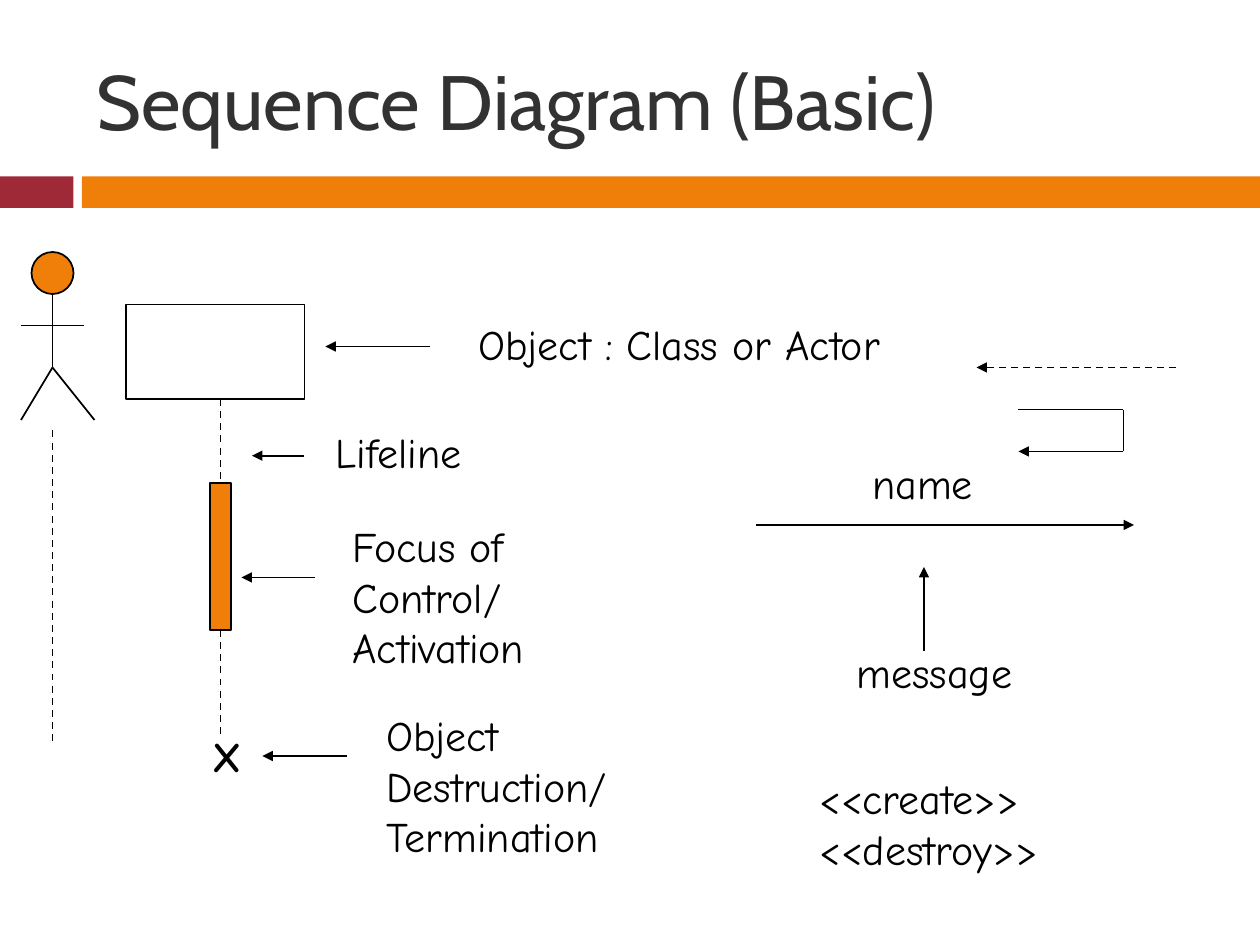
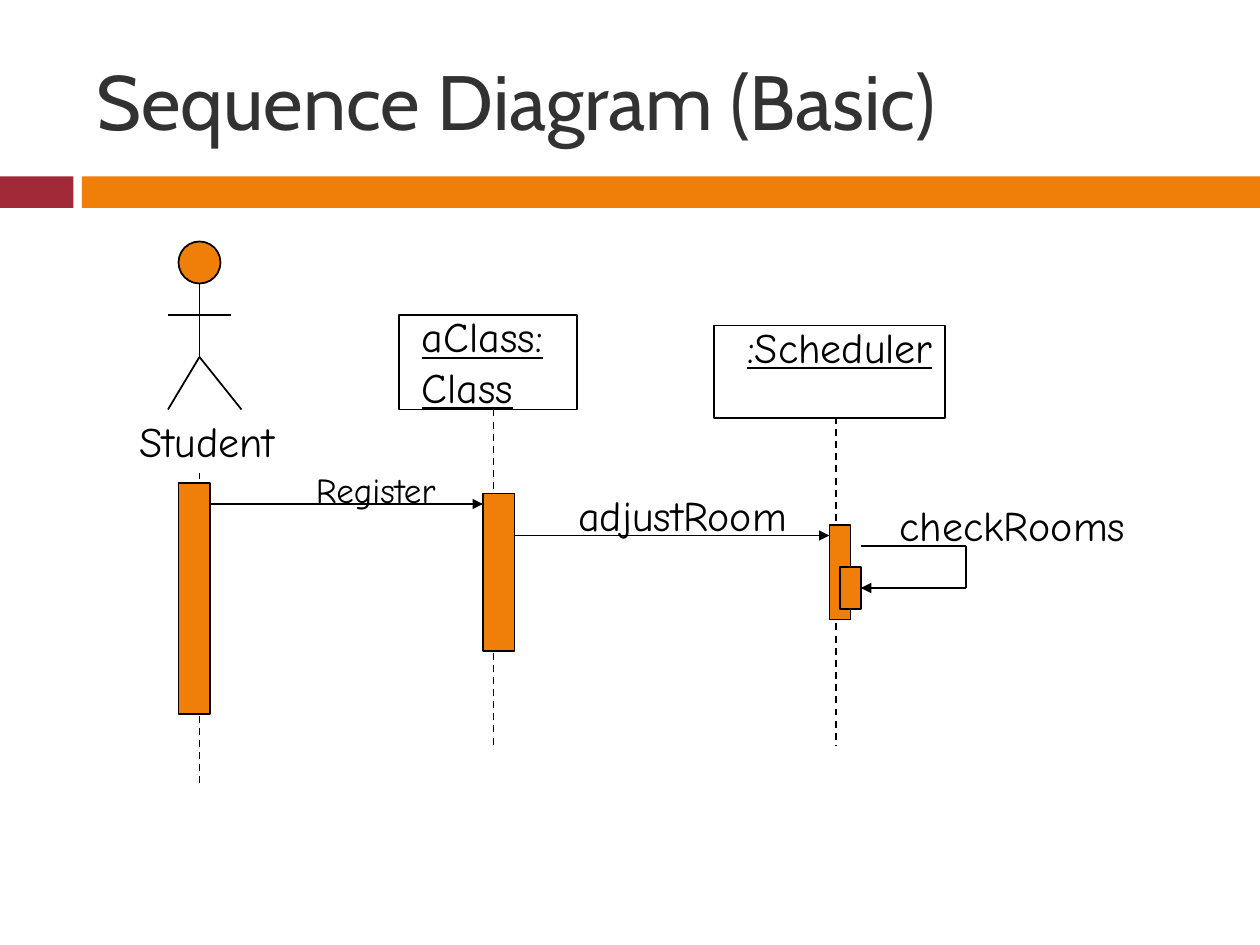
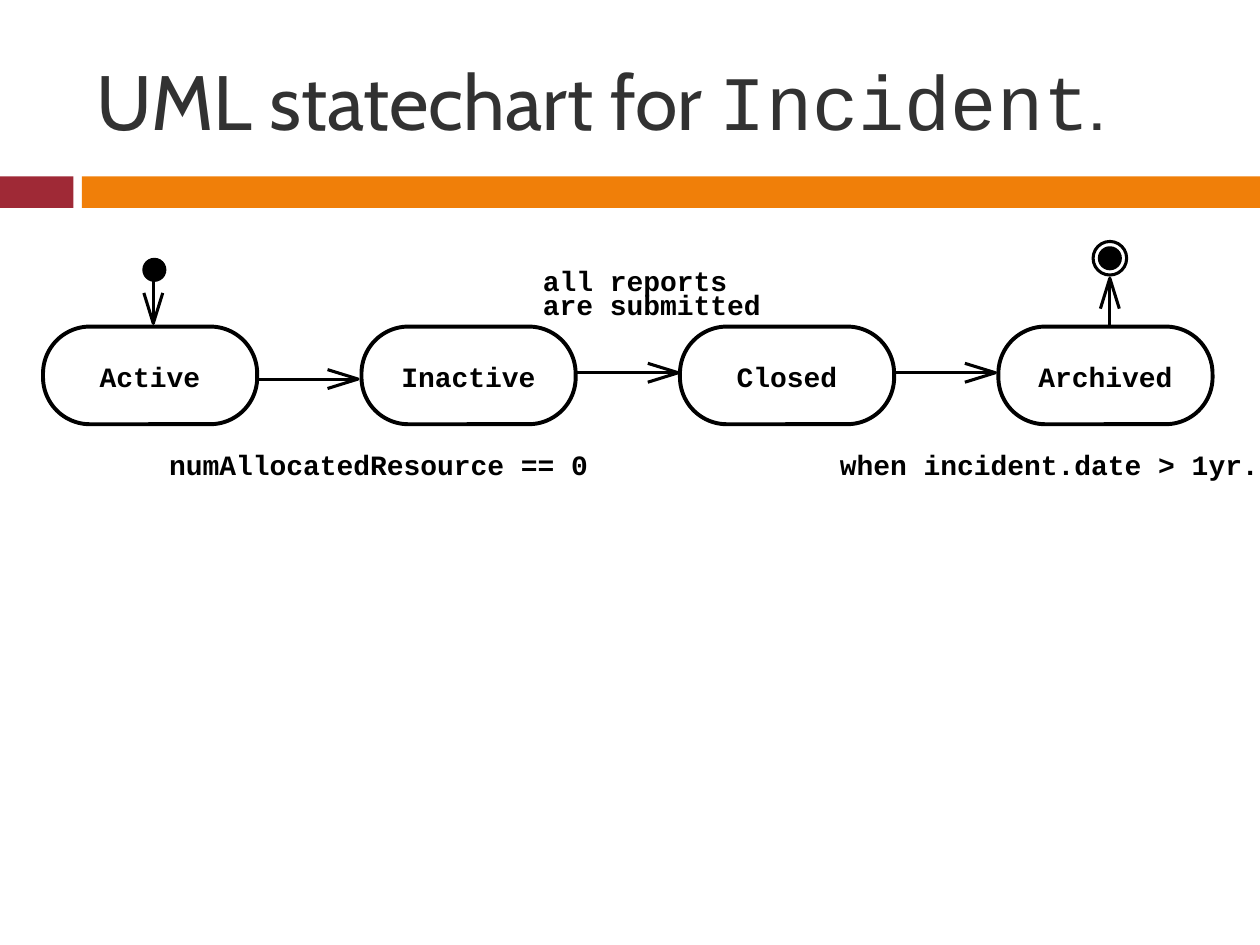
"""Build three UML slides on a grid of 120 columns by 90 rows."""
from lxml import etree
from pptx import Presentation
from pptx.dml.color import RGBColor
from pptx.enum.dml import MSO_LINE
from pptx.enum.shapes import MSO_CONNECTOR, MSO_SHAPE
from pptx.enum.text import MSO_ANCHOR, MSO_AUTO_SIZE
from pptx.oxml.ns import qn
from pptx.util import Inches, Pt

RECT, OVAL, PILL = MSO_SHAPE.RECTANGLE, MSO_SHAPE.OVAL, MSO_SHAPE.ROUNDED_RECTANGLE
STRAIGHT, DASH = MSO_CONNECTOR.STRAIGHT, MSO_LINE.DASH
MIDDLE, GROW = MSO_ANCHOR.MIDDLE, MSO_AUTO_SIZE.SHAPE_TO_FIT_TEXT
BLACK, WHITE, GREY, ORANGE, RED = "000000", "FFFFFF", "323232", "F07F09", "9F2936"
SANS, HAND, MONO = "Cabin", "Comic Neue", "Courier New"
CELL = Inches(1) / 12


def hue(code):
    return RGBColor.from_string(code)


def grid(*cells):
    return [round(cell * CELL) for cell in cells]


basic = [("Sequence Diagram (Basic)", SANS)]

parts = {
    "title": basic, "font": HAND, "pad": (1.2, 0.6), "weight": 1,
    "actors": [(5, 24)], "loops": [(97, 39)],
    "lines": [
        (41, 33, 31, 33, "->"), (21, 38, 21, 70, "--"), (72, 50, 108, 50, "->"),
        (29, 43.4, 24, 43.4, "->"), (88, 62, 88, 54, "->"), (5, 41, 5, 71, "--"),
        (33, 72, 25, 72, "->"), (30, 55, 23, 55, "->"), (112, 35, 93, 35, "-->"),
    ],
    "shapes": [(12, 29, 17, 9, RECT, None), (20, 46, 2, 14, RECT, ORANGE)],
    "notes": [
        (44.4, 29.7, 40.7, "Object : Class or Actor", 24, ""),
        (30.8, 40, 14.6, "Lifeline", 24, ""),
        (32.4, 49, 19, "Focus of\nControl/\nActivation", 24, ""),
        (35.6, 67, 23.6, "Object\nDestruction/\nTermination", 24, ""),
        (19.1, 69, 5.2, "X", 24, "bold"),
        (80.4, 61, 17.4, "message", 24, ""),
        (81.9, 43, 12.2, "name", 24, ""),
        (76.9, 73, 23.4, "<<create>>\n<<destroy>>", 24, ""),
    ],
}

rooms = {
    "title": basic, "font": HAND, "pad": (1.2, 0.6), "weight": 1,
    "actors": [(19, 23)], "loops": [(82, 52)],
    "lines": [
        (19, 45, 19, 75, "--"), (47, 39, 47, 71, "--"), (79.6, 39.7, 79.6, 71, "--"),
        (20, 48, 46, 48, "->"), (49, 51, 79, 51, "->"),
    ],
    "shapes": [
        (38, 30, 17, 9, RECT, None), (68, 31, 22, 8.8, RECT, None),
        (17, 46, 3, 22, RECT, ORANGE), (46, 47, 3, 15, RECT, ORANGE),
        (79, 50, 2, 9, RECT, ORANGE), (80, 54, 2, 4, RECT, ORANGE),
    ],
    "notes": [
        (12.1, 39, 16, "Student", 24, ""),
        (39, 29, 15.1, "aClass:\nClass", 24, "line"),
        (28.9, 44, 14.1, "Register", 20, ""),
        (70, 30, 20.2, ":Scheduler", 24, "line"),
        (53.9, 46, 22.5, "adjustRoom", 24, ""),
        (84.5, 47, 24.1, "checkRooms", 24, ""),
    ],
}

chart = {
    "title": [("UML statechart for ", SANS), ("Incident", MONO), (".", SANS)],
    "font": MONO, "pad": (0, 0), "weight": 1.75, "actors": [], "loops": [],
    "lines": [
        (24.5, 36.1, 34.1, 36.1, "=>"), (55, 35.5, 64.6, 35.5, "=>"),
        (85.2, 35.5, 94.8, 35.5, "=>"), (14.6, 25.9, 14.6, 30.8, "=>"),
        (105.7, 31.4, 105.7, 26.5, "=>"),
    ],
    "shapes": [
        (13.7, 24.7, 2, 2, OVAL, BLACK), (104.7, 23.6, 2, 2, OVAL, BLACK),
        (104.1, 23, 3.2, 3.2, OVAL, None),
    ],
    "notes": [
        (16.1, 42.6, 40, "numAllocatedResource == 0", 16, "bold"),
        (51.7, 25.1, 17.6, "all reports", 16, "bold"),
        (51.7, 27.4, 20.8, "are submitted", 16, "bold"),
        (80, 42.6, 40, "when incident.date > 1yr.", 16, "bold"),
    ],
}
for col, state in enumerate(["Active", "Inactive", "Closed", "Archived"]):
    left, wide = 4.1 + 30.33 * col, 1.6 * len(state)
    chart["shapes"].append((left, 31.1, 20.4, 9.3, PILL, WHITE))
    chart["notes"].append((left + (20.4 - wide) / 2, 34.2, wide, state, 16, "bold"))

deck = Presentation()
deck.slide_width, deck.slide_height = grid(120, 90)

for page in (parts, rooms, chart):
    slide = deck.slides.add_slide(deck.slide_layouts[6])
    draw = slide.shapes

    for x, wide, fill in ((0, 7, RED), (7.8, 112.2, ORANGE)):
        band = draw.add_shape(RECT, *grid(x, 16.8, wide, 3))
        band.shadow.inherit = False
        band.fill.solid()
        band.fill.fore_color.rgb = hue(fill)
        band.line.fill.background()

    frame = draw.add_textbox(*grid(8, 3, 107, 13)).text_frame
    frame.word_wrap = True
    frame.vertical_anchor = MIDDLE
    para = frame.paragraphs[0]
    para.font.size = Pt(44)
    para.font.color.rgb = hue(GREY)
    for words, face in page["title"]:
        run = para.add_run()
        run.text = words
        run.font.name = face

    lines, shapes = list(page["lines"]), list(page["shapes"])
    for x, y in page["actors"]:
        shapes.append((x - 2, y, 4, 4, OVAL, ORANGE))
        lines += [
            (x, y + 4, x, y + 11, "-"), (x - 3, y + 7, x + 3, y + 7, "-"),
            (x, y + 11, x - 3, y + 16, "-"), (x, y + 11, x + 4, y + 16, "-"),
        ]
    for x, y in page["loops"]:
        lines += [
            (x, y, x + 10, y, "-"), (x + 10, y, x + 10, y + 4, "-"),
            (x + 10, y + 4, x, y + 4, "->"),
        ]

    for x, y, end, foot, style in lines:
        link = draw.add_connector(STRAIGHT, *grid(x, y, end, foot))
        link.line.color.rgb = hue(BLACK)
        link.line.width = Pt(page["weight"])
        if style.startswith("--"):
            link.line.dash_style = DASH
        props = link._element.spPr
        if style.endswith("->"):
            etree.SubElement(props.find(qn("a:ln")), qn("a:tailEnd"), type="triangle")
        etree.SubElement(props, qn("a:effectLst"))
        if style == "=>":
            across = (end > x) - (end < x)
            down = (foot > y) - (foot < y)
            back, rear = end - 2.9 * across, foot - 2.9 * down
            pen = draw.build_freeform(*grid(back - 0.9 * down, rear - 0.9 * across))
            barb = grid(back + 0.9 * down, rear + 0.9 * across)
            pen.add_line_segments([grid(end, foot), barb], close=False)
            head = pen.convert_to_shape()
            head.shadow.inherit = False
            head.fill.background()
            head.line.color.rgb = hue(BLACK)
            head.line.width = Pt(page["weight"])

    for x, y, wide, high, kind, fill in shapes:
        shape = draw.add_shape(kind, *grid(x, y, wide, high))
        shape.shadow.inherit = False
        shape.line.color.rgb = hue(BLACK)
        shape.line.width = Pt(page["weight"])
        if kind == PILL:
            shape.adjustments[0] = 0.48
            shape.line.width = Pt(2.25)
        if fill:
            shape.fill.solid()
            shape.fill.fore_color.rgb = hue(fill)
        else:
            shape.fill.background()

    side, edge = grid(*page["pad"])
    for x, y, wide, words, size, mark in page["notes"]:
        high = 0.2 * size * len(words.split("\n")) + 2 * page["pad"][1]
        frame = draw.add_textbox(*grid(x, y, wide, high)).text_frame
        frame.margin_left = frame.margin_right = side
        frame.margin_top = frame.margin_bottom = edge
        frame.word_wrap = False
        frame.auto_size = GROW
        frame.text = words
        for para in frame.paragraphs:
            para.font.name = page["font"]
            para.font.size = Pt(size)
            para.font.color.rgb = hue(BLACK)
            para.font.bold = mark == "bold"
            para.font.underline = mark == "line"

deck.save("out.pptx")
